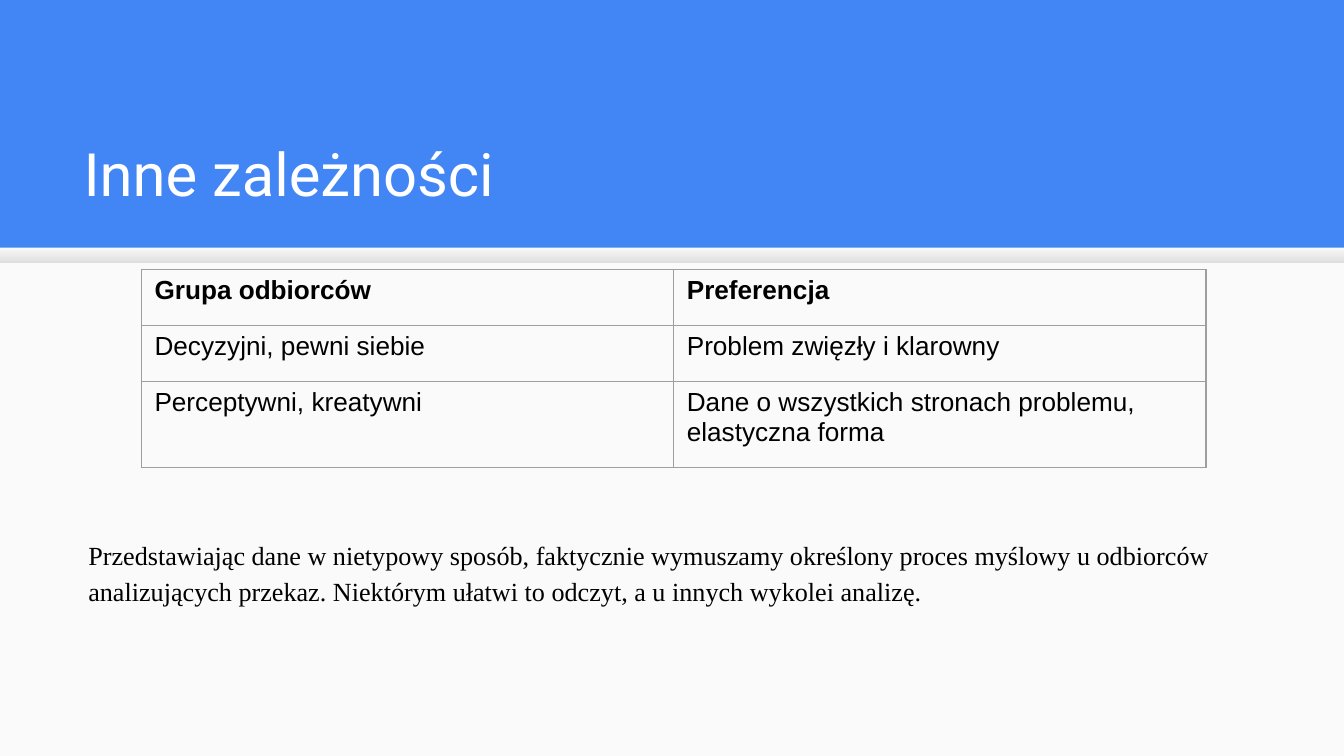
from lxml import etree
from pptx import Presentation
from pptx import util as u
from pptx.dml.color import RGBColor
from pptx.enum import shapes, text
from pptx.oxml import ns

BLUE = RGBColor(0x42, 0x85, 0xF4)
PAPER = RGBColor(0xFA, 0xFA, 0xFA)
LIGHT = RGBColor(0xF9, 0xF9, 0xF9)
SHADE = RGBColor(0xDE, 0xDE, 0xDE)
GRAY = RGBColor(0x9E, 0x9E, 0x9E)
WHITE = RGBColor(0xFF, 0xFF, 0xFF)
BLACK = RGBColor(0, 0, 0)

ROWS = [
    ("Grupa odbiorców", "Preferencja"),
    ("Decyzyjni, pewni siebie", "Problem zwięzły i klarowny"),
    ("Perceptywni, kreatywni",
     "Dane o wszystkich stronach problemu, elastyczna forma"),
]
NOTE = ("Przedstawiając dane w nietypowy sposób, faktycznie wymuszamy "
        "określony proces myślowy u odbiorców analizujących przekaz. "
        "Niektórym ułatwi to odczyt, a u innych wykolei analizę.")


class Deck:
    inset = u.Cm(0.25)
    size = u.Pt(14)
    edge = u.Pt(0.75)

    def __init__(self, wide, high):
        self.show = Presentation()
        self.show.slide_width, self.show.slide_height = u.Cm(wide), u.Cm(high)
        self.slide = self.show.slides.add_slide(self.show.slide_layouts[6])
        fill = self.slide.background.fill
        fill.solid()
        fill.fore_color.rgb = BLUE

    def band(self, box, *colors):
        rect = self.slide.shapes.add_shape(
            shapes.MSO_SHAPE.RECTANGLE, *map(u.Cm, box))
        rect.shadow.inherit = False
        rect.line.fill.background()
        if len(colors) == 1:
            rect.fill.solid()
            rect.fill.fore_color.rgb = colors[0]
        else:
            rect.fill.gradient()
            rect.fill.gradient_angle = 270
            for stop, color in zip(rect.fill.gradient_stops, colors):
                stop.color.rgb = color

    def style(self, par, face, size, color, bold=False):
        par.font.name, par.font.size, par.font.bold = face, size, bold
        par.font.color.rgb = color

    def label(self, box, words, face, size, color, anchor):
        frame = self.slide.shapes.add_textbox(*map(u.Cm, box)).text_frame
        frame.word_wrap = True
        frame.vertical_anchor = anchor
        frame.margin_left = frame.margin_right = self.inset
        frame.margin_top = frame.margin_bottom = self.inset
        frame.text = words
        par = frame.paragraphs[0]
        self.style(par, face, size, color)
        return par

    def border(self, cell):
        props = cell._tc.get_or_add_tcPr()
        for spot, side in enumerate(("a:lnL", "a:lnR", "a:lnT", "a:lnB")):
            line = etree.Element(ns.qn(side), w=str(self.edge))
            fill = etree.SubElement(line, ns.qn("a:solidFill"))
            etree.SubElement(fill, ns.qn("a:srgbClr"), val=str(GRAY))
            props.insert(spot, line)

    def table(self, box, rows, highs):
        grid = self.slide.shapes.add_table(
            len(rows), len(rows[0]), *map(u.Cm, box)).table
        grid.first_row = grid.horz_banding = False
        for r, (row, high) in enumerate(zip(rows, highs)):
            grid.rows[r].height = u.Cm(high)
            for c, words in enumerate(row):
                cell = grid.cell(r, c)
                cell.text = words
                cell.fill.background()
                cell.margin_left = cell.margin_right = self.inset
                self.style(cell.text_frame.paragraphs[0], "Arial",
                           self.size, BLACK, r == 0)
                self.border(cell)


def main():
    deck = Deck(25.4, 14.29)
    deck.band((0, 4.68, 25.4, 9.61), PAPER)
    deck.band((0, 4.68, 25.4, 0.3), LIGHT, SHADE)
    deck.label((1.33, 2.06, 22.83, 2.13), "Inne zależności", "Roboto",
               u.Pt(32), WHITE, text.MSO_ANCHOR.BOTTOM)
    highs = (1.06, 1.06, 1.62)
    deck.table((2.67, 5.09, 20.12, sum(highs)), ROWS, highs)
    par = deck.label((1.42, 9.86, 22.83, 8.33), NOTE, "Times New Roman",
                     deck.size, BLACK, text.MSO_ANCHOR.TOP)
    par.line_spacing = 1.15
    par.space_after = u.Pt(16)
    deck.show.save("out.pptx")


if __name__ == "__main__":
    main()
